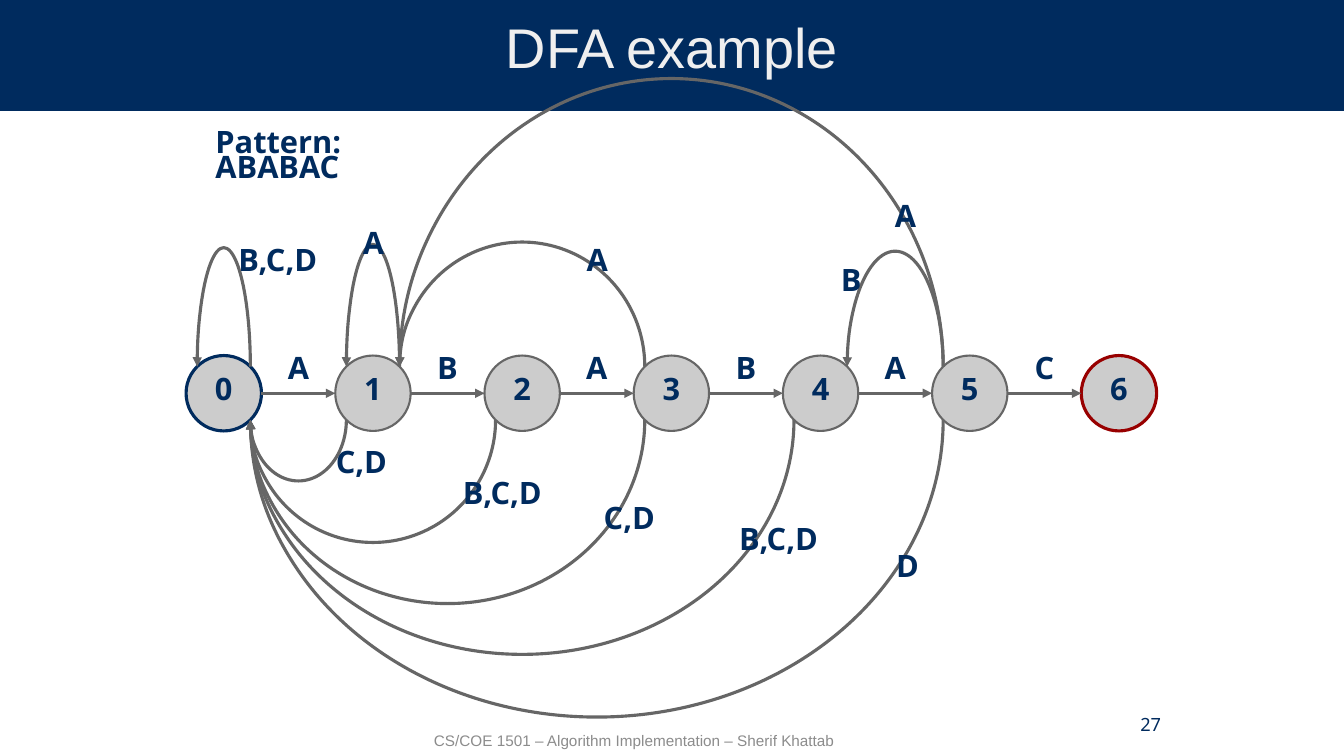
from dataclasses import dataclass

from lxml.etree import SubElement
from pptx import Presentation
from pptx.dml.color import RGBColor
from pptx.enum.shapes import MSO_CONNECTOR, MSO_SHAPE
from pptx.enum.text import MSO_ANCHOR, PP_ALIGN
from pptx.oxml.ns import qn
from pptx.util import Cm, Pt


@dataclass(frozen=True)
class Theme:
    navy: RGBColor = RGBColor(0x00, 0x2B, 0x5E)
    gray: RGBColor = RGBColor(0x66, 0x66, 0x66)
    red: RGBColor = RGBColor(0x98, 0x00, 0x00)
    state_fill: RGBColor = RGBColor(0xCC, 0xCC, 0xCC)
    title_color: RGBColor = RGBColor(0xEF, 0xEF, 0xEF)
    footer_color: RGBColor = RGBColor(0x8C, 0x8C, 0x8C)
    title_font: str = "Arial"
    body_font: str = "Noto Sans"
    title_size: float = 39.9
    label_size: float = 22
    number_size: float = 13
    footer_size: float = 10.9
    thin: float = 1.5
    thick: float = 2.25
    spacing: float = 0.69


@dataclass(frozen=True)
class Transition:
    """A curved transition; height and label centre are in centimetres."""
    source: int
    target: int
    above: bool
    height: float
    label: str
    label_x: float
    label_y: float


THEME = Theme()

# State geometry in centimetres
FIRST_X, ROW_Y, PITCH, RADIUS = 5.64, 9.91, 3.76, 0.95
DIAGONAL = 0.67  # offset of an arc end from its state's centre
LABEL_W, LABEL_H, STEP_LABEL_Y = 2.52, 1.07, 9.37

PATTERN = "ABABAC"
TRANSITIONS = [
    Transition(0, 0, True, 3.0, "B,C,D", 7.0, 6.65),
    Transition(1, 0, False, 1.54, "C,D", 9.11, 11.73),
    Transition(2, 0, False, 3.09, "B,C,D", 12.66, 12.52),
    Transition(4, 0, False, 5.91, "B,C,D", 19.62, 13.69),
    Transition(3, 0, False, 4.63, "C,D", 15.86, 13.16),
    Transition(5, 0, False, 7.49, "D", 22.87, 14.35),
    Transition(1, 1, True, 3.08, "A", 9.41, 6.22),
    Transition(3, 1, True, 3.14, "A", 15.05, 6.65),
    Transition(5, 1, True, 7.26, "A", 22.82, 5.54),
    Transition(5, 4, True, 2.91, "B", 21.45, 7.16),
]


def state_x(state: int) -> float:
    return FIRST_X + state * PITCH


def write(sp, text: str, size: float = THEME.label_size, color: RGBColor = THEME.navy,
          font: str = THEME.body_font, bold: bool = False, align=PP_ALIGN.CENTER,
          anchor=MSO_ANCHOR.MIDDLE, spacing: float = THEME.spacing) -> None:
    tf = sp.text_frame
    tf.word_wrap = True
    tf.vertical_anchor = anchor
    tf.margin_left = tf.margin_right = tf.margin_top = tf.margin_bottom = Cm(0.25)
    p = tf.paragraphs[0]
    p.text = text
    p.alignment = align
    p.line_spacing = spacing
    p.font.size = Pt(size)
    p.font.name = font
    p.font.bold = bold
    p.font.color.rgb = color


def add_text(s, x: float, y: float, w: float, h: float, text: str, **style) -> None:
    write(s.shapes.add_textbox(Cm(x), Cm(y), Cm(w), Cm(h)), text, **style)


def add_label(s, x: float, y: float, text: str) -> None:
    add_text(s, x - LABEL_W / 2, y - LABEL_H / 2, LABEL_W, LABEL_H, text, bold=True)


def add_filled(s, kind, x: float, y: float, w: float, h: float,
               fill: RGBColor, line: RGBColor, width: float):
    sp = s.shapes.add_shape(kind, Cm(x), Cm(y), Cm(w), Cm(h))
    sp.shadow.inherit = False
    sp.fill.solid()
    sp.fill.fore_color.rgb = fill
    sp.line.color.rgb = line
    sp.line.width = Pt(width)
    return sp


def style_arrow(sp, end: str) -> None:
    sp.line.color.rgb = THEME.gray
    sp.line.width = Pt(THEME.thick)
    ln = sp.element.spPr.find(qn("a:ln"))
    SubElement(ln, qn(f"a:{end}"), type="triangle")


def add_state(s, state: int) -> None:
    line, width = THEME.gray, THEME.thin
    if state == 0:
        line, width = THEME.navy, THEME.thick
    elif state == len(PATTERN):
        line, width = THEME.red, THEME.thick
    sp = add_filled(s, MSO_SHAPE.OVAL, state_x(state) - RADIUS, ROW_Y - RADIUS,
                    2 * RADIUS, 2 * RADIUS, THEME.state_fill, line, width)
    write(sp, str(state), bold=True)


def add_step(s, state: int, letter: str) -> None:
    start, end = state_x(state) + RADIUS, state_x(state + 1) - RADIUS
    cxn = s.shapes.add_connector(MSO_CONNECTOR.STRAIGHT, Cm(start), Cm(ROW_Y),
                                 Cm(end), Cm(ROW_Y))
    style_arrow(cxn, "tailEnd")
    SubElement(cxn.element.spPr, qn("a:effectLst"))
    add_label(s, (start + end) / 2, STEP_LABEL_Y, letter)


def add_transition(s, t: Transition) -> None:
    # Loops end on the outer sides of a state, other arcs on the facing sides
    inward = -DIAGONAL if t.source == t.target else DIAGONAL
    left, right = state_x(t.target) + inward, state_x(t.source) - inward
    base = ROW_Y - DIAGONAL if t.above else ROW_Y + DIAGONAL
    arc = s.shapes.add_shape(MSO_SHAPE.ARC, Cm(left), Cm(base - t.height),
                             Cm(right - left), Cm(2 * t.height))
    arc.shadow.inherit = False
    arc.fill.background()
    # Half turns, clockwise; 108 stands for 180 degrees
    arc.adjustments[0], arc.adjustments[1] = (108, 0) if t.above else (0, 108)
    style_arrow(arc, "headEnd" if t.above else "tailEnd")
    add_label(s, t.label_x, t.label_y, t.label)


def main() -> None:
    prs = Presentation()
    prs.slide_width, prs.slide_height = Cm(33.87), Cm(19.05)
    s = prs.slides.add_slide(prs.slide_layouts[6])

    # Title band and pattern
    add_filled(s, MSO_SHAPE.RECTANGLE, 0, 0, 33.87, 2.77, THEME.navy, THEME.navy, THEME.thin)
    add_text(s, 5.51, 0.56, 22.86, 1.7, "DFA example", size=THEME.title_size,
             color=THEME.title_color, font=THEME.title_font,
             anchor=MSO_ANCHOR.BOTTOM, spacing=1.0)
    add_text(s, 5.18, 3.1, 4.9, 2.59, f"Pattern:\v{PATTERN}", bold=True,
             align=PP_ALIGN.LEFT, anchor=MSO_ANCHOR.TOP)

    # States and matching steps
    for state in range(len(PATTERN) + 1):
        add_state(s, state)
    for state, letter in enumerate(PATTERN):
        add_step(s, state, letter)

    # Loops and fallbacks
    for t in TRANSITIONS:
        add_transition(s, t)

    # Slide number and footer
    add_text(s, 27.99, 17.6, 1.52, 1.45, "27", size=THEME.number_size, align=PP_ALIGN.RIGHT)
    add_text(s, 8.26, 18.21, 15.44, 1.02,
             "CS/COE 1501 – Algorithm Implementation – Sherif Khattab",
             size=THEME.footer_size, color=THEME.footer_color, font=THEME.title_font)

    prs.save("out.pptx")


if __name__ == "__main__":
    main()
